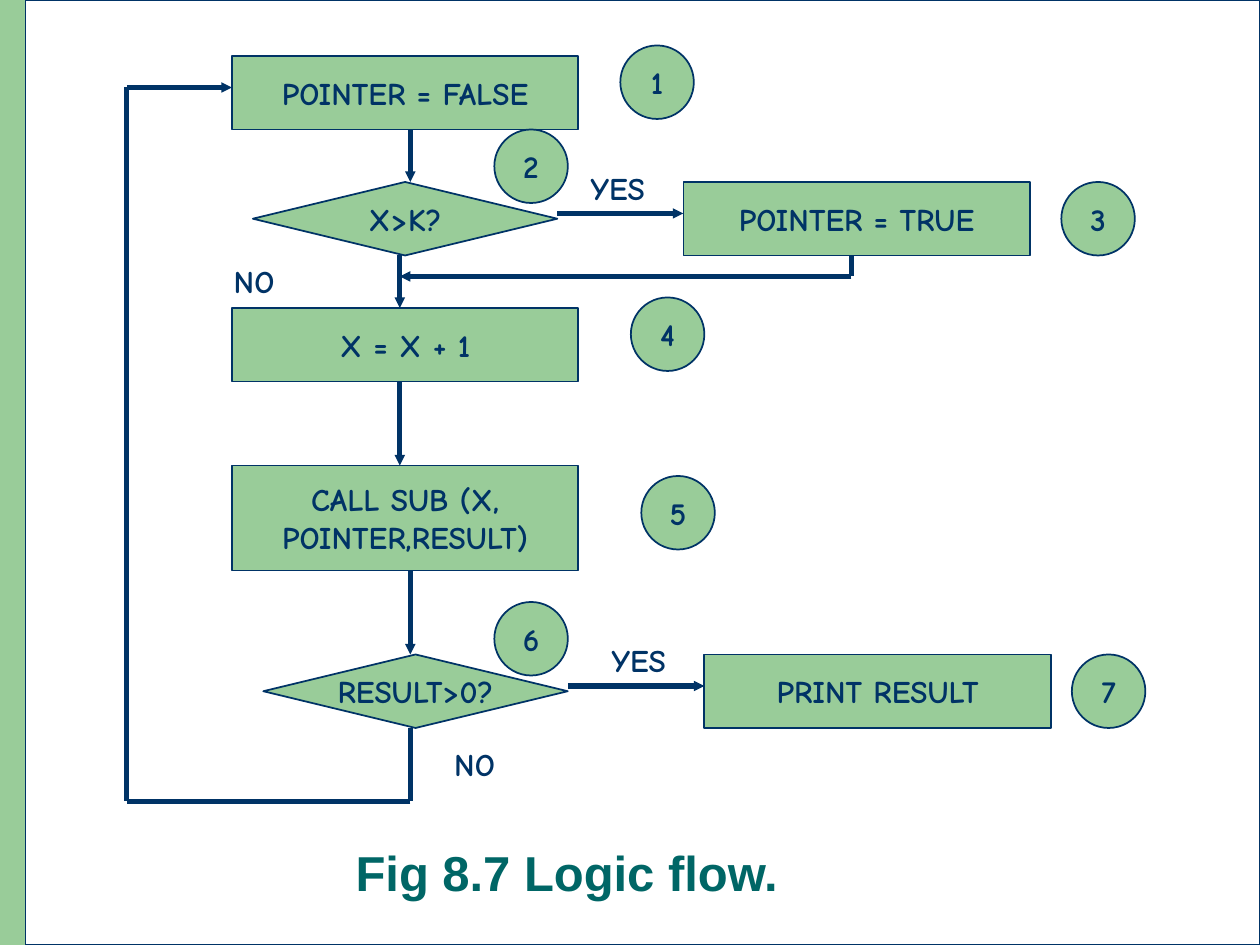
from pptx import Presentation
from pptx.dml.color import RGBColor
from pptx.enum.shapes import MSO_CONNECTOR, MSO_SHAPE
from pptx.enum.text import MSO_ANCHOR, PP_ALIGN
from pptx.oxml.ns import qn
from pptx.util import Pt
from lxml.etree import SubElement

GREEN = RGBColor(0x99, 0xCC, 0x99)
NAVY = RGBColor(0x00, 0x33, 0x66)
TEAL = RGBColor(0x00, 0x66, 0x66)
WHITE = RGBColor(0xFF, 0xFF, 0xFF)
FONT = "Comic Neue"

prs = Presentation()
prs.slide_width, prs.slide_height = Pt(720), Pt(540)
s = prs.slides.add_slide(prs.slide_layouts[5])


def add_box(kind, x, y, w, h, fill, line_width):
    sp = s.shapes.add_shape(kind, Pt(x), Pt(y), Pt(w), Pt(h))
    sp.shadow.inherit = False
    sp.fill.solid()
    sp.fill.fore_color.rgb = fill
    if line_width:
        sp.line.color.rgb = NAVY
        sp.line.width = Pt(line_width)
    else:
        sp.line.fill.background()
    return sp


def add_text(tf, lines, align):
    for i, line in enumerate(lines):
        p = tf.paragraphs[0] if i == 0 else tf.add_paragraph()
        p.alignment = align
        r = p.add_run()
        r.text = line
        r.font.name, r.font.size, r.font.bold = FONT, Pt(18), True
        r.font.color.rgb = NAVY


# Side bar and panel
add_box(MSO_SHAPE.RECTANGLE, 0, 0, 14.4, 540, GREEN, 0)
panel = add_box(MSO_SHAPE.RECTANGLE, 14.4, 0, 705.6, 540, WHITE, 0.75)

# Caption, placed in front of the panel
title = s.shapes.title
panel._element.addnext(title._element)
title.left, title.top, title.width, title.height = Pt(196), Pt(474.5), Pt(335), Pt(52)
tf = title.text_frame
tf.word_wrap = True
tf.vertical_anchor = MSO_ANCHOR.MIDDLE
p = tf.paragraphs[0]
p.alignment = PP_ALIGN.LEFT
p.line_spacing = 0.9
r = p.add_run()
r.text = "Fig 8.7 Logic flow."
r.font.name, r.font.size, r.font.bold = "Arial", Pt(28), True
r.font.color.rgb = TEAL

# Steps, decisions and numbered circles
RECT, DECISION, CIRCLE = (MSO_SHAPE.RECTANGLE, MSO_SHAPE.FLOWCHART_DECISION,
                          MSO_SHAPE.OVAL)
WIDTHS = {RECT: 198, DECISION: 174, CIRCLE: 42}
nodes = [
    (RECT, 132.5, 32, 42, ["POINTER = FALSE"]),
    (RECT, 132.5, 176, 42, ["X = X + 1"]),
    (RECT, 390.5, 104, 42, ["POINTER = TRUE"]),
    (RECT, 132.5, 266, 60, ["CALL SUB (X,", "POINTER,RESULT)"]),
    (RECT, 402.5, 374, 42, ["PRINT RESULT"]),
    (DECISION, 144.5, 104, 42, ["X>K?"]),
    (DECISION, 150.5, 374, 42, ["RESULT>0?"]),
]
circles = [(354.5, 26), (282.5, 74), (606.5, 104), (360.5, 170),
           (366.5, 272), (282.5, 344), (612.5, 374)]
nodes += [(CIRCLE, x, y, 42, [str(n)]) for n, (x, y) in enumerate(circles, 1)]
for kind, x, y, h, lines in nodes:
    sp = add_box(kind, x, y, WIDTHS[kind], h, GREEN, 1)
    tf = sp.text_frame
    tf.word_wrap = False
    tf.vertical_anchor = MSO_ANCHOR.MIDDLE
    add_text(tf, lines, PP_ALIGN.CENTER)

# Branch labels
for x, y, label in [(126.5, 146, "NO"), (342.5, 363, "YES"),
                    (252.5, 422, "NO"), (330.5, 93, "YES")]:
    sp = s.shapes.add_textbox(Pt(x), Pt(y), Pt(72), Pt(29))
    sp.text_frame.word_wrap = True
    add_text(sp.text_frame, [label], PP_ALIGN.LEFT)

# Flow lines: start, end, arrowhead
flows = [
    (234.5, 74, 234.5, 104, True),
    (318.5, 122, 390.5, 122, True),
    (228.5, 146, 228.5, 176, True),
    (228.5, 218, 228.5, 266, True),
    (234.5, 326, 234.5, 374, True),
    (324.5, 392, 402.5, 392, True),
    (486.5, 158, 228.5, 158, True),
    (486.5, 158, 486.5, 146, False),
    (72.5, 50, 132.5, 50, True),
    (234.5, 416, 234.5, 458, False),
    (234.5, 458, 72.5, 458, False),
    (72.5, 50, 72.5, 458, False),
]
for x1, y1, x2, y2, arrow in flows:
    c = s.shapes.add_connector(MSO_CONNECTOR.STRAIGHT, Pt(x1), Pt(y1), Pt(x2), Pt(y2))
    c.line.color.rgb = NAVY
    c.line.width = Pt(3)
    if arrow:
        SubElement(c.line._get_or_add_ln(), qn("a:tailEnd"),
                   type="triangle", w="sm", len="sm")
    SubElement(c._element.spPr, qn("a:effectLst"))

prs.save("out.pptx")
